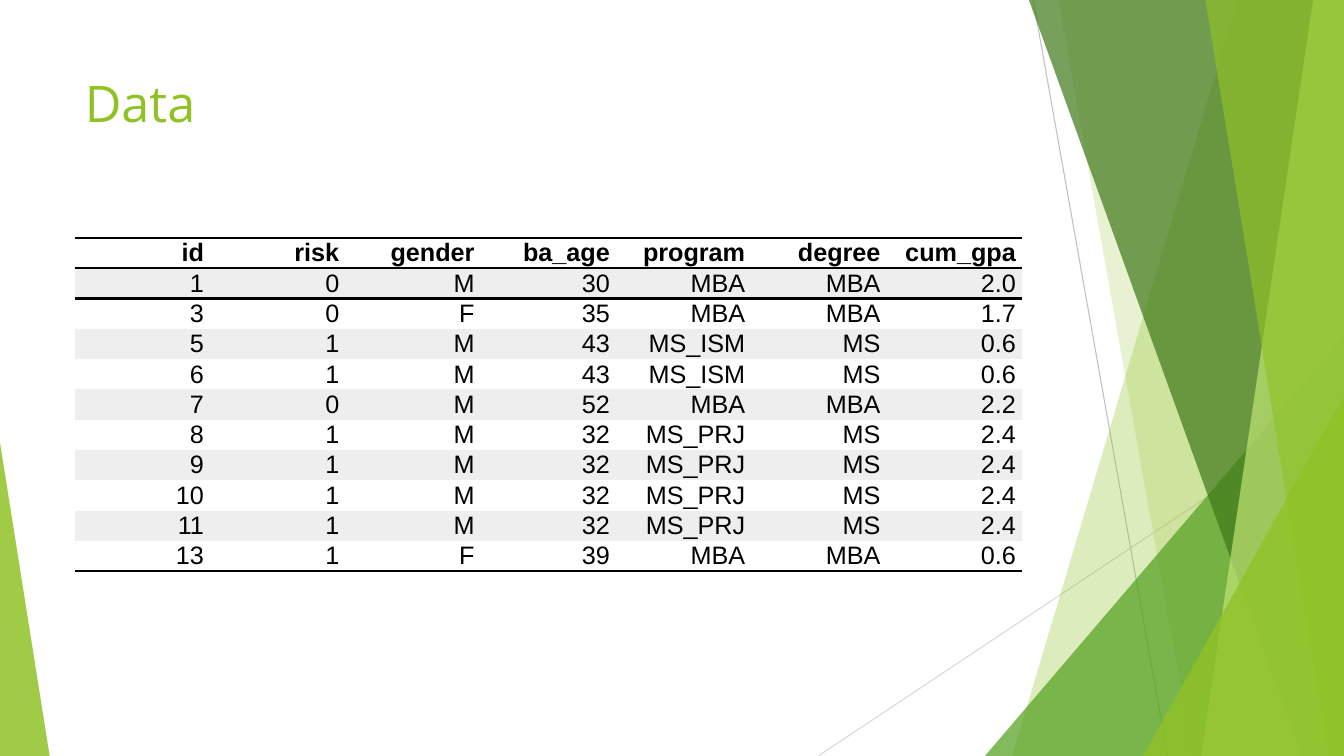
from dataclasses import dataclass

from lxml.etree import SubElement
from pptx import Presentation
from pptx.dml.color import RGBColor
from pptx.enum.shapes import MSO_CONNECTOR as Connector, MSO_SHAPE as Shape
from pptx.enum.text import MSO_ANCHOR as Anchor, PP_ALIGN as Align
from pptx.oxml.ns import qn
from pptx.util import Pt


@dataclass(frozen=True)
class Theme:
    lime: str = "90C226"
    green: str = "54A021"
    forest: str = "3F7819"
    pale: str = "C0E474"
    steep_line: str = "BFBFBF"
    flat_line: str = "D9D9D9"
    ink: str = "000000"
    stripe: str = "EEEEEE"
    paper: str = "FFFFFF"
    title_font: str = "Open Sans"
    table_font: str = "Arial"
    title_size: float = 36
    table_size: float = 18
    rule: float = 2
    hairline: float = 0.75


THEME = Theme()
WIDTH, HEIGHT = 960, 540
LEFT, CONTENT_WIDTH = 53.5, 676.8
TABLE_TOP, ROW_HEIGHT = 170, 20.2
CELL_INDENT = 4.5
NO_STYLE = "{2D5ABB26-0587-4C30-8999-92F81FD0307C}"

HEADINGS = ["id", "risk", "gender", "ba_age", "program", "degree", "cum_gpa"]
STUDENTS = [
    ["1", "0", "M", "30", "MBA", "MBA", "2.0"],
    ["3", "0", "F", "35", "MBA", "MBA", "1.7"],
    ["5", "1", "M", "43", "MS_ISM", "MS", "0.6"],
    ["6", "1", "M", "43", "MS_ISM", "MS", "0.6"],
    ["7", "0", "M", "52", "MBA", "MBA", "2.2"],
    ["8", "1", "M", "32", "MS_PRJ", "MS", "2.4"],
    ["9", "1", "M", "32", "MS_PRJ", "MS", "2.4"],
    ["10", "1", "M", "32", "MS_PRJ", "MS", "2.4"],
    ["11", "1", "M", "32", "MS_PRJ", "MS", "2.4"],
    ["13", "1", "F", "39", "MBA", "MBA", "0.6"],
]


def paint(facet, color, opacity):
    facet.shadow.inherit = False
    facet.line.fill.background()
    facet.fill.solid()
    facet.fill.fore_color.rgb = RGBColor.from_string(color)
    tint = facet.fill._xPr.find(qn("a:solidFill"))[0]
    SubElement(tint, qn("a:alpha"), val=str(opacity * 1000))


def add_band(slide, top_x, bottom_x, color, opacity):
    """Full-height facet from a slanted left side to the slide's right edge."""
    outline = slide.shapes.build_freeform(top_x, -0.5, scale=Pt(1))
    outline.add_line_segments(
        [(WIDTH, -0.5), (WIDTH, HEIGHT), (bottom_x, HEIGHT)], close=True)
    paint(outline.convert_to_shape(), color, opacity)


def add_corner(slide, left, top, width, peak, color, opacity):
    """Triangle standing on the bottom edge; peak is 0 (left) or 1 (right)."""
    corner = slide.shapes.add_shape(
        Shape.ISOSCELES_TRIANGLE, Pt(left), Pt(top), Pt(width), Pt(HEIGHT - top))
    corner.adjustments[0] = peak
    paint(corner, color, opacity)


def add_hairline(slide, start, end, color):
    hairline = slide.shapes.add_connector(
        Connector.STRAIGHT, *(Pt(value) for value in start + end))
    hairline.line.width = Pt(THEME.hairline)
    hairline.line.color.rgb = RGBColor.from_string(color)
    SubElement(hairline._element.spPr, qn("a:effectLst"))


def add_run(paragraph, text, font, size, color, bold=False):
    run = paragraph.add_run()
    run.text = text
    run.font.name = font
    run.font.size = Pt(size)
    run.font.bold = bold
    run.font.color.rgb = RGBColor.from_string(color)


def add_title(slide, text):
    title = slide.shapes.add_textbox(Pt(LEFT), Pt(48), Pt(CONTENT_WIDTH), Pt(104))
    title.text_frame.word_wrap = True
    add_run(title.text_frame.paragraphs[0], text,
            THEME.title_font, THEME.title_size, THEME.lime)


def add_rule(cell, side):
    rule = SubElement(cell._tc.get_or_add_tcPr(), qn(f"a:{side}"),
                      w=str(Pt(THEME.rule)))
    ink = SubElement(rule, qn("a:solidFill"))
    SubElement(ink, qn("a:srgbClr"), val=THEME.ink)


def fill_cell(cell, text, fill, rules, bold):
    cell.margin_left = cell.margin_right = cell.margin_top = cell.margin_bottom = 0
    cell.vertical_anchor = Anchor.MIDDLE
    # Rules come before the fill in the cell properties
    for side in rules:
        add_rule(cell, side)
    if fill:
        cell.fill.solid()
        cell.fill.fore_color.rgb = RGBColor.from_string(fill)
    else:
        cell.fill.background()
    entry = cell.text_frame.paragraphs[0]
    entry.alignment = Align.RIGHT
    entry.space_before = entry.space_after = Pt(1)
    indents = entry._p.get_or_add_pPr()
    for side in ("marL", "marR"):
        indents.set(side, str(Pt(CELL_INDENT)))
    add_run(entry, text, THEME.table_font, THEME.table_size, THEME.ink, bold)


def add_data_table(slide, headings, records):
    rows = [headings] + records
    last = len(records)
    frame = slide.shapes.add_table(
        len(rows), len(headings), Pt(LEFT), Pt(TABLE_TOP),
        Pt(CONTENT_WIDTH), Pt(ROW_HEIGHT * len(rows)))
    grid = frame.table
    grid.first_row = grid.horz_banding = False
    grid._tbl.tblPr.find(qn("a:tableStyleId")).text = NO_STYLE
    for column in grid.columns:
        column.width = Pt(CONTENT_WIDTH / len(headings))
    rules = {0: ["lnT", "lnB"], 1: ["lnT"], last: ["lnB"]}
    for index, values in enumerate(rows):
        grid.rows[index].height = Pt(ROW_HEIGHT)
        is_header = index == 0
        stripe = THEME.stripe if index % 2 else THEME.paper
        for column, value in enumerate(values):
            fill_cell(grid.cell(index, column), value,
                      None if is_header else stripe,
                      rules.get(index, []), is_header)


def add_facets(slide):
    add_hairline(slide, (738, 0), (834, HEIGHT), THEME.steep_line)
    add_hairline(slide, (WIDTH, 290), (584.5, HEIGHT), THEME.flat_line)
    add_band(slide, 884, 723, THEME.lime, 30)
    add_band(slide, 756, 852, THEME.lime, 20)
    add_corner(slide, 703.5, 240, 256.5, 1, THEME.green, 72)
    add_band(slide, 735, 929.5, THEME.forest, 70)
    add_band(slide, 938, 858, THEME.pale, 70)
    add_band(slide, 861, 949, THEME.lime, 65)
    add_corner(slide, 816.5, 283, 143.5, 1, THEME.lime, 80)
    add_corner(slide, 0, 316, 35.5, 0, THEME.lime, 85)


def main():
    deck = Presentation()
    deck.slide_width, deck.slide_height = Pt(WIDTH), Pt(HEIGHT)
    slide = deck.slides.add_slide(deck.slide_layouts[6])
    # Background facets
    add_facets(slide)
    # Content
    add_title(slide, "Data")
    add_data_table(slide, HEADINGS, STUDENTS)
    deck.save("out.pptx")


main()
